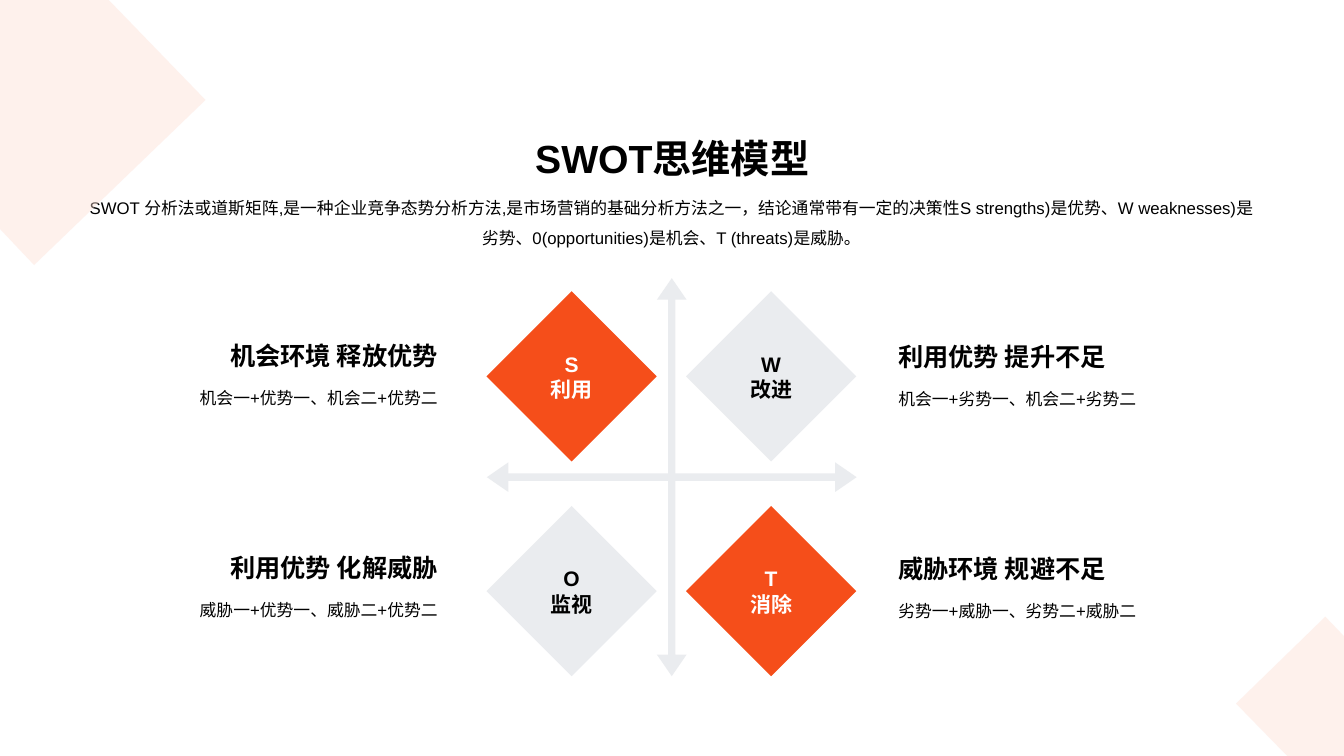
from dataclasses import dataclass

from lxml import etree
from pptx import Presentation, util as u
from pptx.dml.color import RGBColor
from pptx.enum import shapes, text
from pptx.oxml import ns

COLOURS = {"black": "000000", "white": "FFFFFF", "orange": "F54E1A",
           "slate": "778495", "peach": "FDDCD1"}
OPACITY = {"slate": 15, "peach": 40}

LEFT, CENTER, RIGHT = (text.PP_ALIGN.LEFT, text.PP_ALIGN.CENTER,
                       text.PP_ALIGN.RIGHT)
TOP, MIDDLE, BOTTOM = (text.MSO_ANCHOR.TOP, text.MSO_ANCHOR.MIDDLE,
                       text.MSO_ANCHOR.BOTTOM)

TITLE = {"size": u.Pt(28), "bold": True}
HEADING = {"size": u.Pt(18), "bold": True}
LABEL = {"size": u.Pt(15), "bold": True}
BODY = {"size": u.Pt(12), "bold": False}

DIAMOND = 4.29
COLUMNS = (12.26, 17.29)
ROWS = (7.34, 12.75)
NOTE_COLUMNS = (1.65, 22.39)
NOTE_DROPS = (0, 0.02)
NOTE_ROWS = ((7.34, 2.13), (12.32, 2.49))  # top and height of the headings
NOTE_WIDTH = 9.63


@dataclass
class Quadrant:
    """One field of the SWOT matrix."""
    row: int
    column: int
    letter: str
    action: str
    fill: str
    ink: str
    heading: str
    detail: str


@dataclass
class Corner:
    """A decorative corner outline, in centimetres."""
    points: list[tuple[float, float]]


QUADRANTS = [
    Quadrant(0, 0, "S", "利用", "orange", "white",
             "机会环境 释放优势", "机会一+优势一、机会二+优势二"),
    Quadrant(0, 1, "W", "改进", "slate", "black",
             "利用优势 提升不足", "机会一+劣势一、机会二+劣势二"),
    Quadrant(1, 0, "O", "监视", "slate", "black",
             "利用优势 化解威胁", "威胁一+优势一、威胁二+优势二"),
    Quadrant(1, 1, "T", "消除", "orange", "white",
             "威胁环境 规避不足", "劣势一+威胁一、劣势二+威胁二"),
]
CORNERS = [
    Corner([(0, 0), (2.74, 0), (5.18, 2.52), (0.86, 6.68), (0, 5.77)]),
    Corner([(33.87, 19.05), (32.44, 19.05), (31.15, 17.73), (33.4, 15.54),
            (33.87, 16.03)]),
]


def paint(shape, colour: str) -> None:
    """Fill a shape without outline or shadow."""
    shape.shadow.inherit = False
    shape.line.fill.background()
    shape.fill.solid()
    shape.fill.fore_color.rgb = RGBColor.from_string(COLOURS[colour])
    if colour in OPACITY:
        tint = shape.element.spPr.find(".//" + ns.qn("a:srgbClr"))
        alpha = etree.SubElement(tint, ns.qn("a:alpha"))
        alpha.set("val", str(OPACITY[colour] * 1000))


def write(box, lines: list[str], style: dict, align, anchor,
          ink: str = "black", spacing: float = 1.0,
          margins: tuple[float, float] = (0.25, 0.13)) -> None:
    """Write one paragraph per line into a box."""
    frame = box.text_frame
    across, down = map(u.Cm, margins)
    layout = {"word_wrap": True, "vertical_anchor": anchor,
              "margin_left": across, "margin_right": across,
              "margin_top": down, "margin_bottom": down}
    for name, value in layout.items():
        setattr(frame, name, value)
    for index, line in enumerate(lines):
        para = frame.add_paragraph() if index else frame.paragraphs[0]
        para.alignment = align
        para.line_spacing = spacing
        span = para.add_run()
        span.text = line
        for name, value in {"name": "Arial", **style}.items():
            setattr(span.font, name, value)
        span.font.color.rgb = RGBColor.from_string(COLOURS[ink])


def add_text(page, area: tuple[float, ...], line: str, style: dict, align,
             anchor, spacing: float = 1.0) -> None:
    """Add a text box at left, top, width, height in centimetres."""
    box = page.shapes.add_textbox(*map(u.Cm, area))
    write(box, [line], style, align, anchor, spacing=spacing)


def add_axes(page) -> None:
    """Draw the crossed arrows between the four fields."""
    axes = page.shapes.add_shape(shapes.MSO_SHAPE.QUAD_ARROW,
                                 *map(u.Cm, (12.27, 7.01, 9.32, 10.03)))
    for index, value in enumerate((0.02, 0.04, 0.058)):
        axes.adjustments[index] = value
    paint(axes, "slate")


def add_quadrant(page, field: Quadrant) -> None:
    """Draw a diamond with its heading and detail beside it."""
    area = (COLUMNS[field.column], ROWS[field.row], DIAMOND, DIAMOND)
    diamond = page.shapes.add_shape(shapes.MSO_SHAPE.DIAMOND,
                                    *map(u.Cm, area))
    paint(diamond, field.fill)
    write(diamond, [field.letter, field.action], LABEL, CENTER, MIDDLE,
          field.ink, margins=(0.5, 0.5))
    left = NOTE_COLUMNS[field.column]
    top, height = NOTE_ROWS[field.row]
    top += NOTE_DROPS[field.column]
    align = (RIGHT, LEFT)[field.column]
    add_text(page, (left, top, NOTE_WIDTH, height), field.heading, HEADING,
             align, BOTTOM)
    add_text(page, (left, top + height + 0.08, NOTE_WIDTH, 1.55),
             field.detail, BODY, align, TOP, 1.2)


def add_corner(page, corner: Corner) -> None:
    """Draw a pale outline in a corner of the page."""
    points = [(x * 100, y * 100) for x, y in corner.points]
    builder = page.shapes.build_freeform(*points[0], scale=u.Cm(0.01))
    builder.add_line_segments(points[1:], close=True)
    paint(builder.convert_to_shape(), "peach")


def main() -> None:
    """Build and save the deck."""
    deck = Presentation()
    deck.slide_width, deck.slide_height = u.Cm(33.87), u.Cm(19.05)
    page = deck.slides.add_slide(deck.slide_layouts[6])
    add_axes(page)
    add_text(page, (1.85, 3.25, 30.18, 1.45), "SWOT思维模型", TITLE,
             CENTER, BOTTOM)
    add_text(page, (1.83, 4.59, 30.18, 1.7),
             "SWOT 分析法或道斯矩阵,是一种企业竞争态势分析方法,"
             "是市场营销的基础分析方法之一\uff0c结论通常带有一定的决策性"
             "S strengths)是优势、W weaknesses)是劣势、"
             "0(opportunities)是机会、T (threats)是威胁。",
             BODY, CENTER, TOP, 1.5)
    for field in QUADRANTS:
        add_quadrant(page, field)
    for corner in CORNERS:
        add_corner(page, corner)
    deck.save("out.pptx")


main()
